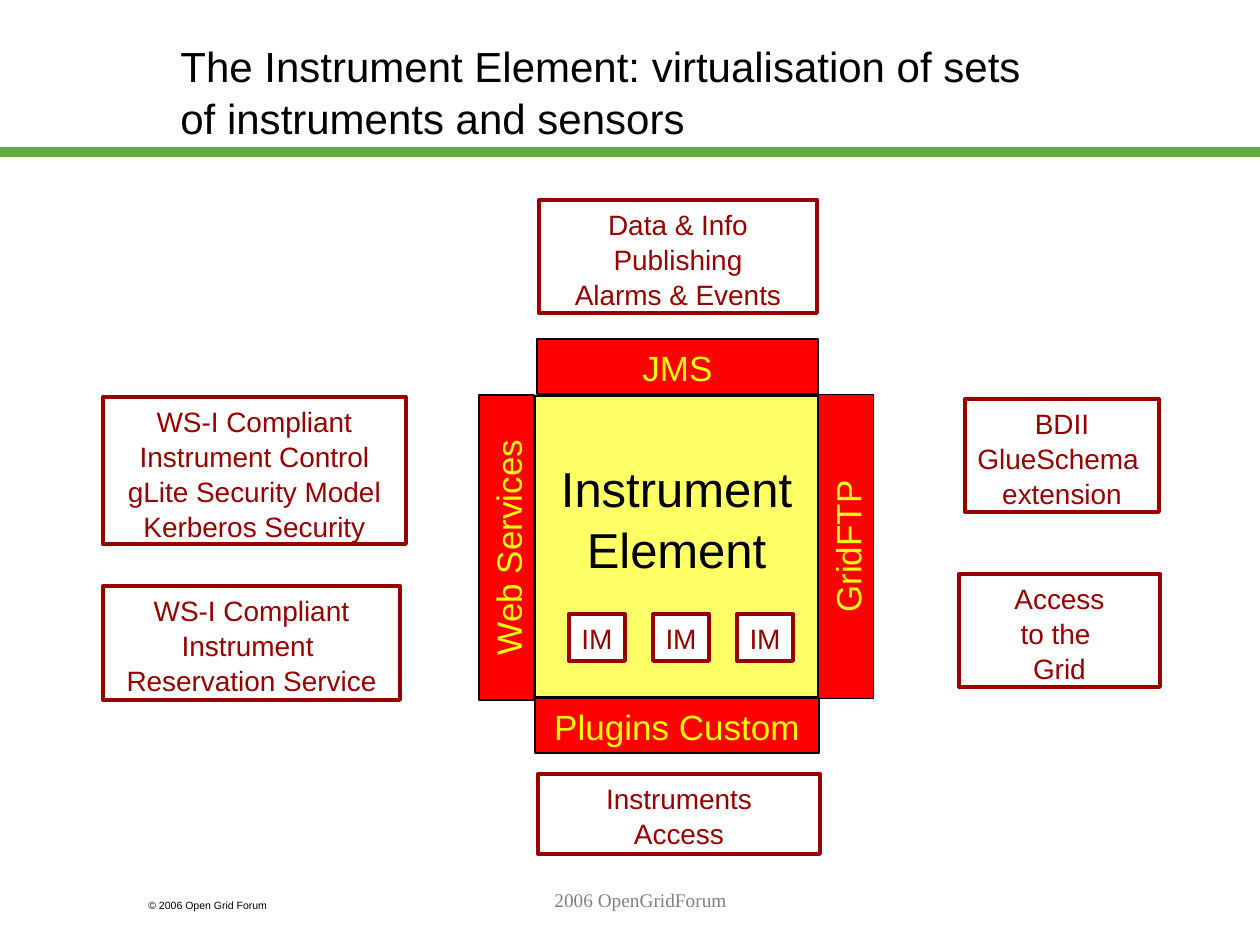
from dataclasses import dataclass
from typing import Optional

from pptx import Presentation
from pptx.dml.color import RGBColor
from pptx.enum.shapes import MSO_SHAPE
from pptx.enum.text import MSO_ANCHOR, PP_ALIGN
from pptx.util import Emu, Pt

PX = 914400 / 126
BLACK = RGBColor(0x00, 0x00, 0x00)
WHITE = RGBColor(0xFF, 0xFF, 0xFF)
GRAY = RGBColor(0x80, 0x80, 0x80)
GREEN = RGBColor(0x5D, 0xAD, 0x41)
RED = RGBColor(0xFF, 0x00, 0x00)
YELLOW = RGBColor(0xFF, 0xFF, 0x00)
PALE_YELLOW = RGBColor(0xFF, 0xFF, 0x66)
MAROON = RGBColor(0x99, 0x00, 0x00)


@dataclass(frozen=True)
class Style:
    size: int
    color: RGBColor
    fill: Optional[RGBColor] = None
    line: Optional[RGBColor] = None
    width: float = 0.75
    font: str = "Arial"
    align: PP_ALIGN = PP_ALIGN.CENTER
    anchor: MSO_ANCHOR = MSO_ANCHOR.TOP
    spacing: float = 1.04
    bottom: int = 6


@dataclass(frozen=True)
class Box:
    x: int
    y: int
    w: int
    h: int
    style: Style
    lines: tuple[str, ...] = ()
    rotation: int = 0
    wrap: bool = True


BAR = Style(10, BLACK, GREEN)
TITLE = Style(24, BLACK, align=PP_ALIGN.LEFT, anchor=MSO_ANCHOR.MIDDLE)
COPYRIGHT = Style(6, BLACK, align=PP_ALIGN.LEFT)
FOOTER = Style(11, GRAY, font="Times New Roman", spacing=1.0)
CORE = Style(28, BLACK, PALE_YELLOW, BLACK, anchor=MSO_ANCHOR.MIDDLE, bottom=65)
INTERFACE = Style(20, YELLOW, RED, BLACK)
NOTE = Style(16, MAROON, WHITE, MAROON, 2.25)

IM_LEFT, IM_STEP, IM_COUNT = 569, 84, 3

BOXES = [
    Box(0, 147, 1260, 10, BAR),
    Box(136, 892, 189, 25, COPYRIGHT, ("© 2006 Open Grid Forum",)),
    Box(168, 26, 1017, 129, TITLE,
        ("The Instrument Element: virtualisation of sets\vof instruments and sensors",)),
    Box(535, 396, 283, 301, CORE, ("Instrument", "Element"), wrap=False),
    Box(354, 520, 305, 55, INTERFACE, ("Web Services",), rotation=270),
    Box(694, 519, 304, 55, INTERFACE, ("GridFTP",), rotation=270),
    Box(537, 339, 281, 55, INTERFACE, ("JMS",)),
    Box(535, 698, 284, 55, INTERFACE, ("Plugins Custom",)),
    Box(103, 397, 303, 147, NOTE,
        ("WS-I Compliant", "Instrument Control", "gLite Security Model", "Kerberos Security")),
    Box(965, 399, 194, 113, NOTE, ("BDII", "GlueSchema ", "extension"), wrap=False),
    Box(103, 586, 297, 114, NOTE, ("WS-I Compliant", "Instrument ", "Reservation Service")),
    *(Box(IM_LEFT + i * IM_STEP, 614, 56, 47, NOTE, ("IM",), wrap=False)
      for i in range(IM_COUNT)),
    Box(959, 574, 201, 113, NOTE, ("Access", "to the ", "Grid")),
    Box(538, 774, 282, 80, NOTE, ("Instruments", "Access")),
    Box(539, 200, 278, 113, NOTE, ("Data & Info Publishing", "Alarms & Events")),
    Box(273, 882, 735, 63, FOOTER, ("2006 OpenGridForum",)),
]


def px(n: float) -> Emu:
    return Emu(round(n * PX))


def apply(obj, formats: dict) -> None:
    for name, value in formats.items():
        setattr(obj, name, value)


def write_text(tf, box: Box) -> None:
    st = box.style
    apply(tf, {
        "word_wrap": box.wrap,
        "vertical_anchor": st.anchor,
        "margin_left": px(12.6),
        "margin_right": px(12.6),
        "margin_top": px(6.3),
        "margin_bottom": px(st.bottom),
    })
    for i, line in enumerate(box.lines):
        p = tf.add_paragraph() if i else tf.paragraphs[0]
        p.text = line
        apply(p, {"alignment": st.align, "line_spacing": st.spacing})
        for r in p.runs:
            apply(r.font, {"name": st.font, "size": Pt(st.size)})
            r.font.color.rgb = st.color


def draw_box(s, box: Box) -> None:
    st = box.style
    frame = [px(n) for n in (box.x, box.y, box.w, box.h)]
    if st.fill is None:
        sp = s.shapes.add_textbox(*frame)
    else:
        sp = s.shapes.add_shape(MSO_SHAPE.RECTANGLE, *frame)
        sp.shadow.inherit = False
        sp.rotation = box.rotation
        sp.fill.solid()
        sp.fill.fore_color.rgb = st.fill
        if st.line is None:
            sp.line.fill.background()
        else:
            sp.line.color.rgb = st.line
            sp.line.width = Pt(st.width)
    if box.lines:
        write_text(sp.text_frame, box)


def main() -> None:
    prs = Presentation()
    apply(prs, {"slide_width": px(1260), "slide_height": px(945)})
    s = prs.slides.add_slide(prs.slide_layouts[6])
    for box in BOXES:
        draw_box(s, box)
    prs.save("out.pptx")


if __name__ == "__main__":
    main()
